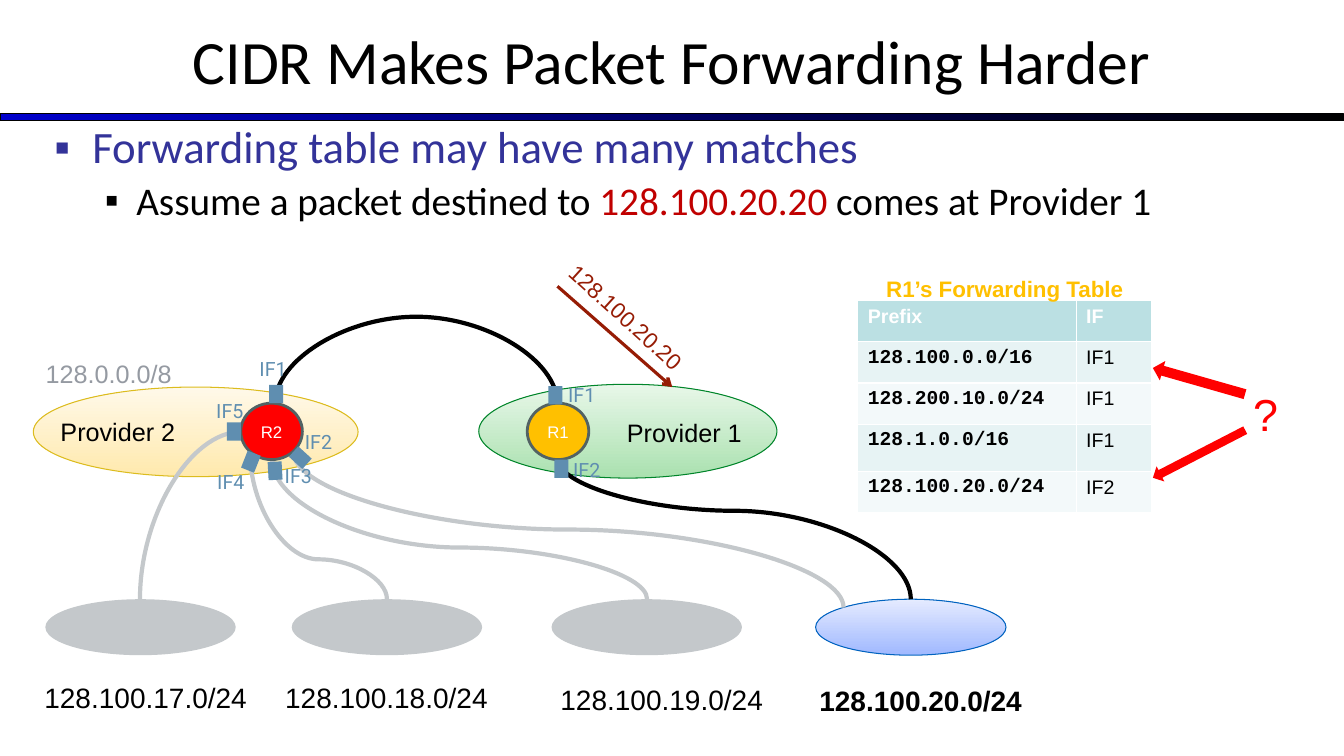
from lxml.etree import SubElement
from pptx import Presentation
from pptx.dml.color import RGBColor
from pptx.enum.shapes import MSO_CONNECTOR, MSO_SHAPE
from pptx.enum.text import MSO_ANCHOR, MSO_AUTO_SIZE, PP_ALIGN
from pptx.oxml.ns import qn
from pptx.util import Pt

color = RGBColor.from_string


def add_figure(kind, left, top, width, height, fills, line=None, line_width=0.75, angle=90, rotation=0):
    shape = slide.shapes.add_shape(kind, Pt(left), Pt(top), Pt(width), Pt(height))
    shape.shadow.inherit = False
    shape.rotation = rotation
    if len(fills) == 1:
        shape.fill.solid()
        shape.fill.fore_color.rgb = color(fills[0])
    else:
        shape.fill.gradient()
        shape.fill.gradient_angle = angle
        for stop, fill in zip(shape.fill.gradient_stops, fills):
            stop.color.rgb = color(fill)
    if line:
        shape.line.color.rgb = color(line)
        shape.line.width = Pt(line_width)
    else:
        shape.line.fill.background()
    return shape


def add_label(text, left, top, width, height, size, hex_color, font="Arial", bold=False, rotation=0):
    box = slide.shapes.add_textbox(Pt(left), Pt(top), Pt(width), Pt(height))
    box.rotation = rotation
    frame = box.text_frame
    frame.word_wrap = False
    frame.vertical_anchor = MSO_ANCHOR.MIDDLE
    paragraph = frame.paragraphs[0]
    paragraph.text = text
    paragraph.alignment = PP_ALIGN.CENTER
    paragraph.font.size = Pt(size)
    paragraph.font.name = font
    paragraph.font.bold = bold
    paragraph.font.color.rgb = color(hex_color)


presentation = Presentation()
presentation.slide_width = Pt(960)
presentation.slide_height = Pt(540)
slide = presentation.slides.add_slide(presentation.slide_layouts[1])

add_figure(MSO_SHAPE.RECTANGLE, 0, 81.4, 960, 5, ["0000CC", "000000"], "000000", angle=0)

title = slide.shapes.title
title.left, title.top, title.width, title.height = Pt(0), Pt(-2), Pt(960), Pt(90)
title.text_frame.auto_size = MSO_AUTO_SIZE.NONE
title.text_frame.vertical_anchor = MSO_ANCHOR.MIDDLE
paragraph = title.text_frame.paragraphs[0]
paragraph.text = "CIDR Makes Packet Forwarding Harder"
paragraph.font.size = Pt(44)
paragraph.font.name = "Calibri"
paragraph.font.color.rgb = color("000000")

body = slide.placeholders[1]
body.left, body.top, body.width, body.height = Pt(31.7), Pt(85.7), Pt(892), Pt(90)
body.text_frame.auto_size = MSO_AUTO_SIZE.NONE
bullets = [
    (32, 27, 27, "333399", [("Forwarding table may have many matches", "333399")]),
    (28, 58.5, 22.5, "000000", [
        ("Assume a packet destined to ", "000000"),
        ("128.100.20.20", "C00000"),
        (" comes at Provider 1", "000000"),
    ]),
]
for level, (size, margin, hanging, bullet_color, pieces) in enumerate(bullets):
    paragraph = body.text_frame.add_paragraph() if level else body.text_frame.paragraphs[0]
    paragraph.level = level
    paragraph.line_spacing = 0.9
    paragraph.font.size = Pt(size)
    paragraph.font.name = "Calibri"
    for text, hex_color in pieces:
        run = paragraph.add_run()
        run.text = text
        run.font.color.rgb = color(hex_color)
    properties = paragraph._p.get_or_add_pPr()
    properties.set("marL", str(Pt(margin)))
    properties.set("indent", str(-Pt(hanging)))
    bullet = {"buClr": {}, "buFont": {"typeface": "Arial"}, "buChar": {"char": "▪"}}
    for position, (tag, attributes) in enumerate(bullet.items(), start=1):
        element = properties.makeelement(qn(f"a:{tag}"), attributes)
        properties.insert(position, element)
        if tag == "buClr":
            SubElement(element, qn("a:srgbClr"), val=bullet_color)

clouds = [
    (23.8, 276.5, 232, 64, ["FFE9AD", "FFF9E9"], "DCBC1E"),
    (342, 274.5, 213, 67, ["AAE1AF", "E8F7E9"], "00852A"),
    (32.4, 428, 136, 40, ["C4C8CB"], None),
    (208.4, 428, 136, 40, ["C4C8CB"], None),
    (394, 428, 136, 40, ["C4C8CB"], None),
    (582.6, 428, 136, 40, ["A0B8FF", "E5EBFF"], "0063BF"),
]
for left, top, width, height, fills, line in clouds:
    add_figure(MSO_SHAPE.OVAL, left, top, width, height, fills, line)

links = [
    (100, 428, 172, 308.5, None, "C4C8CB"),
    (178.6, 322.6, 276.4, 428, 0.73, "C4C8CB"),
    (194.4, 328.4, 462.2, 428, 0.63, "C4C8CB"),
    (209.5, 322.6, 602.6, 434, 0.5, "C4C8CB"),
    (398.5, 327.8, 650.6, 428, 0.37, "000000"),
    (196.6, 288, 398.2, 288.5, -121, "000000"),
]
for start_x, start_y, end_x, end_y, bend, hex_color in links:
    across, down = end_x - start_x, abs(end_y - start_y)
    left = (start_x + end_x - down) / 2
    top = (start_y + end_y - across) / 2
    link = slide.shapes.add_connector(
        MSO_CONNECTOR.CURVE, Pt(left), Pt(top), Pt(left + down), Pt(top + across))
    link.line.color.rgb = color(hex_color)
    link.line.width = Pt(3)
    properties = link._element.spPr
    properties.xfrm.set("rot", str(270 * 60000))
    geometry = properties.find(qn("a:prstGeom"))
    if bend is None:
        geometry.set("prst", "curvedConnector2")
    else:
        properties.xfrm.set("flipH", "1")
        SubElement(geometry.find(qn("a:avLst")), qn("a:gd"), name="adj1", fmla=f"val {round(bend * 100000)}")
    SubElement(properties, qn("a:effectLst"))

for name, left, fill in [("R2", 172, "FF0000"), ("R1", 376.6, "FFC000")]:
    router = add_figure(MSO_SHAPE.OVAL, left, 288, 44, 40.3, [fill], "526263", 2)
    paragraph = router.text_frame.paragraphs[0]
    paragraph.text = name
    paragraph.alignment = PP_ALIGN.CENTER
    paragraph.font.size = Pt(12)
    paragraph.font.name = "Arial"
    paragraph.font.color.rgb = color("FFFFFF")

ports = [
    ("IF1", 192.2, 275, 0, 177.8, 251.3),
    ("IF2", 209.5, 320.4, 312.4, 210.2, 303),
    ("IF3", 191.5, 329.8, 356.9, 195.8, 327.6),
    ("IF4", 174.2, 323.3, 21.5, 147.6, 332),
    ("IF5", 162, 301.7, 0, 146.9, 280.8),
    ("IF1", 391.7, 275.8, 0, 398.2, 270),
    ("IF2", 396, 328.3, 0, 401.8, 323.3),
]
for name, left, top, rotation, label_left, label_top in ports:
    add_figure(MSO_SHAPE.RECTANGLE, left, top, 10, 13, ["5F8EB0"], rotation=rotation)
    add_label(name, label_left, label_top, 34.6, 24.5, 14, "5F8EB0", "Roboto")

add_label("128.0.0.0/8", 25.2, 252, 105, 29, 18, "959AA2")
add_label("Provider 2", 36, 293.5, 96.5, 29, 18, "000000")
add_label("Provider 1", 440.6, 294, 96.5, 29, 18, "000000")
networks = [(17, 23.8, 482.4), (18, 195.8, 482.4), (19, 392.4, 483.8), (20, 577.4, 484.6)]
for number, left, top in networks:
    add_label(f"128.100.{number}.0/24", left, top, 160.6, 31.7, 20, "000000", bold=number == 20)

forwarding_rows = [
    ("Prefix", "IF"),
    ("128.100.0.0/16", "IF1"),
    ("128.200.10.0/24", "IF1"),
    ("128.1.0.0/16", "IF1"),
    ("128.100.20.0/24", "IF2"),
]
table = slide.shapes.add_table(5, 2, Pt(612.7), Pt(214.6), Pt(210), Pt(150.8)).table
for column, width in zip(table.columns, (156, 54)):
    column.width = Pt(width)
for row, height in zip(table.rows, (29.5, 29.5, 29.5, 33.8, 29.5)):
    row.height = Pt(height)
for row_index, values in enumerate(forwarding_rows):
    header = row_index == 0
    for column_index, value in enumerate(values):
        cell = table.cell(row_index, column_index)
        cell.fill.solid()
        cell.fill.fore_color.rgb = color("BBE0E3" if header else ("F3F9FA", "E7F3F4")[row_index % 2])
        paragraph = cell.text_frame.paragraphs[0]
        paragraph.text = value
        paragraph.font.size = Pt(14)
        paragraph.font.name = "Arial" if header or column_index else "Courier New"
        paragraph.font.bold = header or column_index == 0
        paragraph.font.color.rgb = color("FFFFFF" if header else "000000")
add_label("R1’s Forwarding Table", 612.7, 193, 210, 26.6, 16, "FFC000", bold=True)

add_label("128.100.20.20", 380.9, 213, 132.5, 26.6, 16, "961C05", rotation=42.2)
packet = slide.shapes.add_connector(MSO_CONNECTOR.STRAIGHT, Pt(398.2), Pt(204.5), Pt(480.2), Pt(276.5))
packet.line.color.rgb = color("961C05")
packet.line.width = Pt(2.25)
SubElement(packet.line._get_or_add_ln(), qn("a:tailEnd"), type="arrow")
SubElement(packet._element.spPr, qn("a:effectLst"))

add_figure(MSO_SHAPE.LEFT_ARROW, 822.2, 265, 68.4, 14.4, ["FF0000"], rotation=15.9)
add_figure(MSO_SHAPE.LEFT_ARROW, 819.4, 318.2, 74.2, 12.2, ["FF0000"], rotation=332.7)
add_label("?", 887.8, 272.2, 32.4, 46, 32, "FF0000")

presentation.save("out.pptx")
